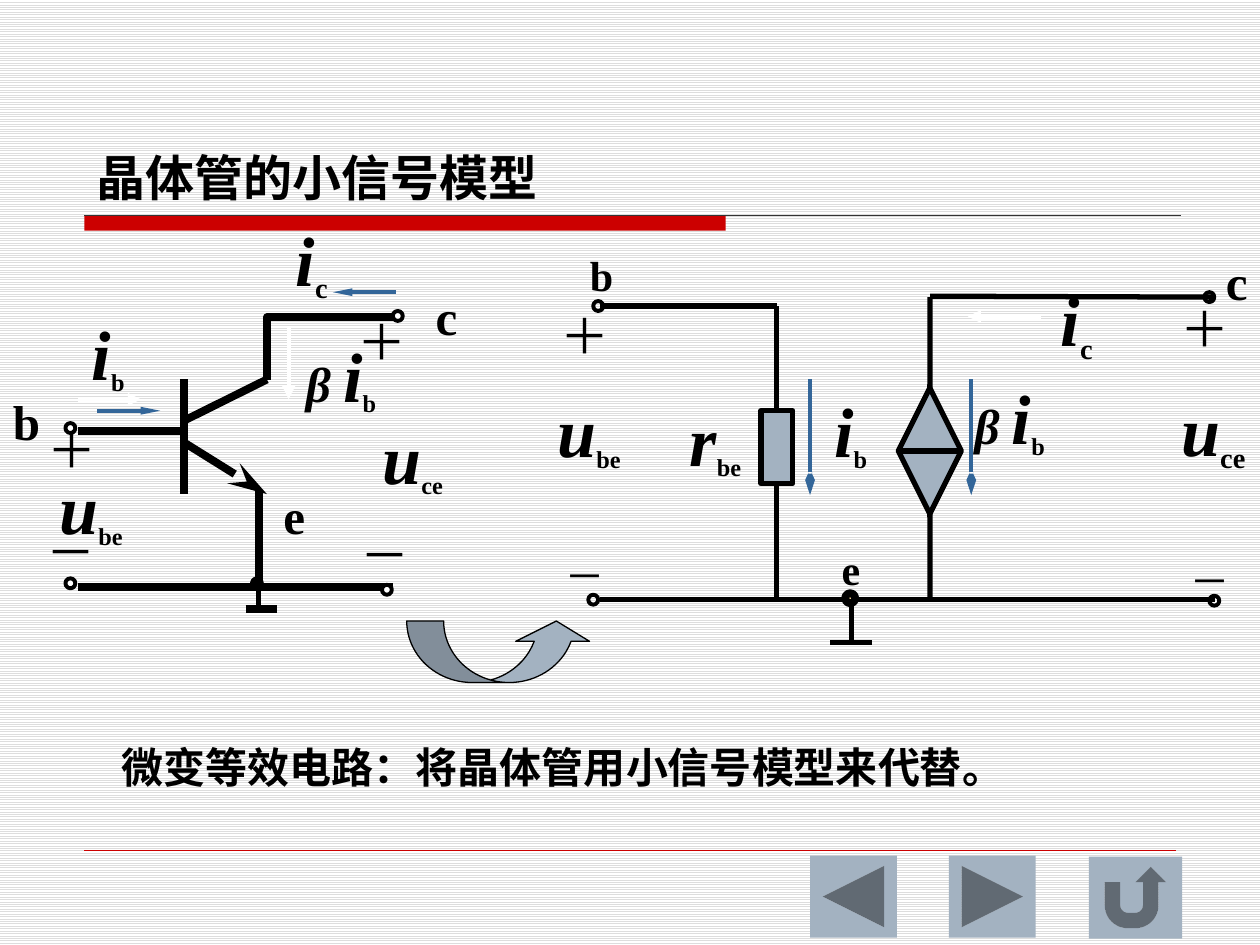
from dataclasses import dataclass
from lxml import etree
from pptx import Presentation
from pptx.dml.color import RGBColor
from pptx.enum.dml import MSO_PATTERN
from pptx.enum.shapes import MSO_CONNECTOR, MSO_SHAPE as SHAPE
from pptx.enum.text import MSO_ANCHOR, PP_ALIGN
from pptx.oxml.ns import qn
from pptx.util import Cm, Pt


@dataclass(frozen=True)
class Theme:
    black: str = "000000"
    white: str = "FFFFFF"
    stripe: str = "DDDDDD"
    red: str = "CC0000"
    rule: str = "333333"
    blue: str = "336699"
    steel: str = "A3B2C1"
    cream: str = "FFDDA0"
    latin: str = "Times New Roman"
    chinese: str = "Noto Sans CJK SC"
    symbol: int = 40
    minus: int = 32
    large: int = 28
    small: int = 24


T = Theme()
rgb = RGBColor.from_string

prs = Presentation()
prs.slide_width, prs.slide_height = Cm(25.4), Cm(19.05)
s = prs.slides.add_slide(prs.slide_layouts[6])
bg = s.background.fill
bg.patterned()
bg.pattern = MSO_PATTERN.LIGHT_HORIZONTAL
bg.fore_color.rgb, bg.back_color.rgb = rgb(T.stripe), rgb(T.white)


def add_wire(x1, y1, x2, y2, width=3, color=T.black, head=None):
    """Draw a straight line; head is (type, width, length) of the arrow at its end."""
    wire = s.shapes.add_connector(MSO_CONNECTOR.STRAIGHT, Cm(x1), Cm(y1), Cm(x2), Cm(y2))
    wire.line.color.rgb, wire.line.width = rgb(color), Pt(width)
    if head:
        tail = etree.SubElement(wire.line._get_or_add_ln(), qn("a:tailEnd"))
        for key, value in zip(("type", "w", "len"), head):
            tail.set(key, value)
    etree.SubElement(wire._element.spPr, qn("a:effectLst"))
    return wire


def add_shape(kind, x, y, w, h, fill=None, width=0):
    """Draw a preset shape; no fill colour or no line width leaves that part out."""
    sp = s.shapes.add_shape(kind, Cm(x), Cm(y), Cm(w), Cm(h))
    sp.shadow.inherit = False
    if fill:
        sp.fill.solid()
        sp.fill.fore_color.rgb = rgb(fill)
    else:
        sp.fill.background()
    if width:
        sp.line.color.rgb, sp.line.width = rgb(T.black), Pt(width)
    else:
        sp.line.fill.background()
    return sp


# Rules under the title and above the buttons
add_shape(SHAPE.RECTANGLE, 1.7, 4.34, 12.93, 0.31, T.red)
add_wire(1.7, 4.34, 23.8, 4.34, 0.75, T.rule)
add_wire(1.7, 17.15, 23.7, 17.15, 0.25, T.red)

# Small-signal model
resistor = add_shape(SHAPE.RECTANGLE, 15.34, 8.28, 0.64, 1.47, T.steel, 3)
source = add_shape(SHAPE.FLOWCHART_SORT, 18.11, 7.82, 1.27, 2.54, T.steel, 3)
for part, x, top in ((resistor, 15.66, 6.17), (source, 18.75, 5.99)):
    add_wire(x, top, x, 8).end_connect(part, 0)
    add_wire(x, 10, x, 12.09).begin_connect(part, 2)
for ends in (
    (12.09, 6.17, 15.66, 6.17),
    (12.09, 12.09, 24.49, 12.09),
    (18.75, 5.97, 24.49, 5.99),
    (17.17, 12.09, 17.17, 12.95),
    (16.74, 12.95, 17.58, 12.95),
):
    add_wire(*ends)

# Transistor
for ends in (
    (3.71, 7.65, 3.71, 9.96),
    (3.71, 8.48, 5.38, 7.65),
    (3.71, 8.69, 1.57, 8.69),
    (1.57, 11.84, 7.92, 11.84),
    (4.95, 12.27, 5.59, 12.27),
    (5.23, 9.88, 5.23, 11.79),
):
    add_wire(*ends, width=4.5)
add_wire(5.21, 11.66, 5.21, 12.29)
add_wire(3.71, 8.92, 5.38, 9.96, 4.5, head=("stealth", "med", "lg"))
builder = s.shapes.build_freeform(Cm(5.38), Cm(7.67))
builder.add_line_segments([(Cm(5.38), Cm(6.4)), (Cm(7.92), Cm(6.4))], close=False)
collector = builder.convert_to_shape()
collector.shadow.inherit = False
collector.fill.background()
collector.line.color.rgb, collector.line.width = rgb(T.black), Pt(4.5)

# Terminals and junctions
for x, y, fill, width in (
    (24.28, 5.89, None, 2.25),
    (24.38, 12.01, None, 2.25),
    (11.86, 11.99, None, 2.25),
    (11.96, 6.07, None, 2.25),
    (17.04, 11.96, T.cream, 4.5),
    (1.32, 8.53, T.white, 2.25),
    (7.7, 11.79, T.white, 2.25),
    (7.92, 6.27, T.white, 2.25),
    (1.32, 11.66, T.white, 2.25),
    (5.08, 11.66, T.black, 2.25),
):
    add_shape(SHAPE.OVAL, x, y, 0.2, 0.2, fill, width)

# Current arrows
for ends, kind in (
    ((16.33, 7.65, 16.33, 9.98), "arrow"),
    ((19.58, 7.65, 19.58, 9.98), "arrow"),
    ((7.98, 5.89, 6.71, 5.89), "triangle"),
    ((1.96, 8.28, 3.23, 8.28), "triangle"),
):
    add_wire(*ends, 2.25, T.blue, (kind, "sm", "lg"))
for ends in ((20.98, 6.38, 19.51, 6.38), (1.57, 8.05, 2.84, 8.05), (5.82, 6.58, 5.82, 8.05)):
    add_wire(*ends, 2.5, T.white, ("triangle", "med", "med"))

# Labels: left, top, width, then prefix, symbol, subscript and subscript size
labels = [
    (x, y, w, 1.96, [(pre, T.large, True, 0), (main, T.symbol, True, 0), (sub, size, False, -25000)], True)
    for x, y, w, pre, main, sub, size in (
        (10.95, 7.7, 1.85, "", "u", "be", T.small),
        (13.47, 7.87, 1.91, "", "r", "be", T.small),
        (16.54, 7.7, 1.22, "", "i", "b", T.small),
        (21.11, 5.49, 1.19, "", "i", "c", T.large),
        (23.52, 7.7, 1.88, "", "u", "ce", T.large),
        (19.35, 7.44, 2.01, "β ", "i", "b", T.small),
        (7.42, 8.23, 1.8, "", "u", "ce", T.small),
        (0.91, 9.25, 1.85, "", "u", "be", T.small),
        (1.57, 6.15, 1.22, "", "i", "b", T.small),
        (5.87, 6.58, 2.01, "β ", "i", "b", T.small),
        (5.69, 4.27, 1.19, "", "i", "c", T.large),
    )
]
heights = {T.minus: 1.6, T.large: 1.45, T.small: 1.27}
labels += [
    (x, y, w, heights[size], [(text, size, False, 0)], text.isalpha())
    for x, y, w, text, size in (
        (0, 7.77, 1.07, "b", T.large),
        (11.63, 4.9, 0.99, "b", T.small),
        (16.71, 10.82, 0.89, "e", T.small),
        (24.46, 4.93, 0.94, "c", T.large),
        (8.53, 5.64, 0.94, "c", T.large),
        (5.46, 9.65, 0.94, "e", T.large),
        (11.05, 6.02, 1.5, "＋", T.large),
        (23.55, 5.89, 1.5, "＋", T.large),
        (0.71, 8.33, 1.5, "＋", T.large),
        (6.96, 6.15, 1.5, "＋", T.large),
        (0.69, 10.39, 1.5, "－", T.large),
        (7.01, 10.44, 1.5, "－", T.large),
        (11.25, 10.24, 1.07, "_", T.minus),
        (23.85, 10.36, 1.07, "_", T.minus),
    )
]
for x, y, w, h, runs, bold in labels:
    tf = s.shapes.add_textbox(Cm(x), Cm(y), Cm(w), Cm(h)).text_frame
    tf.word_wrap, tf.vertical_anchor = False, MSO_ANCHOR.MIDDLE
    p = tf.paragraphs[0]
    p.alignment = PP_ALIGN.CENTER
    for text, size, italic, baseline in runs:
        if text:
            r = p.add_run()
            r.text, r.font.size, r.font.italic = text, Pt(size), italic
            r.font.name, r.font.bold, r.font.color.rgb = T.latin, bold, rgb(T.black)
            if baseline:
                r.font._element.set("baseline", str(baseline))

# Title and caption
for x, y, w, text, size in (
    (1.7, 2.77, 9.88, "晶体管的小信号模型", T.large),
    (2.21, 14.66, 19, "微变等效电路：将晶体管用小信号模型来代替。", T.small),
):
    tf = s.shapes.add_textbox(Cm(x), Cm(y), Cm(w), Cm(1.6)).text_frame
    tf.word_wrap, tf.vertical_anchor = True, MSO_ANCHOR.MIDDLE
    r = tf.paragraphs[0].add_run()
    r.text, r.font.size, r.font.bold = text, Pt(size), True
    r.font.name, r.font.color.rgb = T.chinese, rgb(T.black)
    etree.SubElement(r.font._element, qn("a:ea")).set("typeface", T.chinese)

# Transition arrow and navigation buttons
bend = add_shape(SHAPE.CURVED_UP_ARROW, 8.2, 12.52, 3.76, 1.24, T.steel, 0.75)
for i, value in enumerate((0.6, 1.2, 0.33)):
    bend.adjustments[i] = value
for kind, x, y, w in (
    (SHAPE.ACTION_BUTTON_BACK_OR_PREVIOUS, 16.33, 17.25, 1.75),
    (SHAPE.ACTION_BUTTON_FORWARD_OR_NEXT, 19.13, 17.25, 1.75),
    (SHAPE.ACTION_BUTTON_RETURN, 21.95, 17.27, 1.88),
):
    add_shape(kind, x, y, w, 1.65, T.steel)

prs.save("out.pptx")
